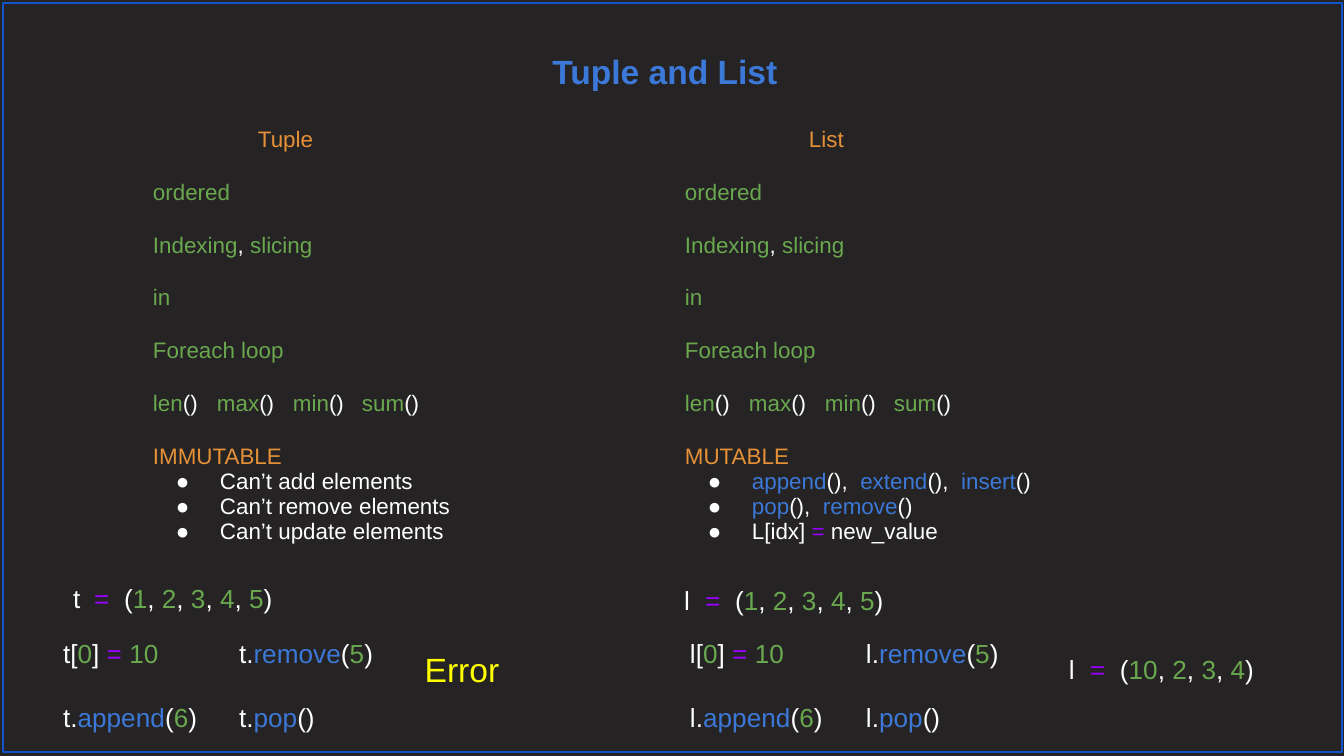
from lxml.etree import SubElement
from pptx import Presentation
from pptx.dml.color import RGBColor
from pptx.enum.shapes import MSO_SHAPE
from pptx.enum.text import PP_ALIGN
from pptx.oxml.ns import qn
from pptx.util import Pt

SCALE = 914400 / 134.4
INSET = 13
COLOURS = {"w": "FFFFFF", "g": "6AA84F", "b": "3C78D8", "o": "E69138", "p": "9900FF", "y": "FFFF00"}
MARGINS = ("margin_left", "margin_top", "margin_right", "margin_bottom")
NO_GRID = "{2D5ABB26-0587-4C30-8999-92F81FD0307C}"

SHARED_ROWS = [
    ("gordered", ()),
    ("gIndexing|w,|g slicing", ()),
    ("gin", ()),
    ("gForeach loop", ()),
    ("glen|w()\t|gmax|w()\t|gmin|w()\t|gsum|w()", (64, 140, 209)),
]
COLUMNS = [
    ("oTuple", 105, "oIMMUTABLE",
     ["wCan’t add elements", "wCan’t remove elements", "wCan’t update elements"]),
    ("oList", 124, "oMUTABLE",
     ["bappend|w(),  |bextend|w(),  |binsert|w()", "bpop|w(),  |bremove|w()", "wL[idx] |p=|w new_value"]),
]


def px(length):
    return round(length * SCALE)


def colour(hex_code):
    return RGBColor.from_string(hex_code)


def apply(target, values):
    for name, value in values.items():
        setattr(target, name, value)


def write(paragraph, markup, size, tabs=(), indent=0, bold=None):
    for part in markup.split("|"):
        run = paragraph.add_run()
        run.text = part[1:]
        apply(run.font, {"name": "Arial", "size": Pt(size), "bold": bold})
        run.font.color.rgb = colour(COLOURS[part[0]])
    properties = paragraph._p.get_or_add_pPr()
    if indent:
        properties.set("marL", str(px(indent)))
    if tabs:
        stops = SubElement(properties, qn("a:tabLst"))
        for stop in tabs:
            SubElement(stops, qn("a:tab"), pos=str(px(stop)), algn="l")


def add_bullet(paragraph):
    properties = paragraph._p.get_or_add_pPr()
    properties.set("indent", str(px(-44)))
    tint = SubElement(properties, qn("a:buClr"))
    SubElement(tint, qn("a:srgbClr"), val=COLOURS["w"])
    SubElement(properties, qn("a:buFont"), typeface="Arial")
    SubElement(properties, qn("a:buChar"), char="●")


def text_box(slide, box, lines, size, tabs=(), align=PP_ALIGN.LEFT, gap=0, bold=None):
    frame = slide.shapes.add_textbox(*map(px, box)).text_frame
    apply(frame, {"word_wrap": True, **dict.fromkeys(MARGINS, px(INSET))})
    for index, line in enumerate(lines):
        paragraph = frame.add_paragraph() if index else frame.paragraphs[0]
        paragraph.alignment = align
        if index:
            paragraph.space_before = Pt(gap)
        write(paragraph, line, size, tabs, bold=bold)


def comparison(slide, box):
    row_count = len(SHARED_ROWS) + 2
    table = slide.shapes.add_table(row_count, len(COLUMNS), *map(px, box)).table
    apply(table, {"first_row": False, "horz_banding": False})
    table._tbl.tblPr.find(qn("a:tableStyleId")).text = NO_GRID
    for row in table.rows:
        row.height = px(52)
    table.rows[row_count - 1].height = px(126)
    for cell in table.iter_cells():
        cell.fill.background()
        apply(cell, dict.fromkeys(MARGINS, px(INSET)))
    for index, (heading, heading_indent, trait, details) in enumerate(COLUMNS):
        cells = [table.cell(row, index) for row in range(row_count)]
        write(cells[0].text_frame.paragraphs[0], heading, 12, indent=heading_indent)
        for cell, (feature, tabs) in zip(cells[1:], SHARED_ROWS):
            write(cell.text_frame.paragraphs[0], feature, 12, tabs)
        summary = cells[-1].text_frame
        write(summary.paragraphs[0], trait, 12)
        for detail in details:
            paragraph = summary.add_paragraph()
            add_bullet(paragraph)
            write(paragraph, detail, 12, indent=67)


def assignment(slide, box, name, numbers):
    values = "|w, |".join(f"g{number}" for number in numbers)
    text_box(slide, box, [f"w{name}\t|p=\t|w(|{values}|w)"], 14, (21, 51))


def examples(slide, box, name, assignment_offset):
    left, top, width, height = box
    dx, dy = assignment_offset
    assignment(slide, (left + dx, top + dy, 235, 59), name, range(1, 6))
    operations = [
        f"w{name}[|g0|w] |p= |g10\t|w{name}.|bremove|w(|g5|w)",
        f"w{name}.|bappend|w(|g6|w)\t{name}.|bpop|w()",
    ]
    text_box(slide, (left, top + 55, width, height - 55), operations, 14, (176,), gap=17.7)


def border(slide, box):
    outline = slide.shapes.add_shape(MSO_SHAPE.RECTANGLE, *map(px, box))
    outline.shadow.inherit = False
    outline.fill.background()
    outline.line.color.rgb = colour("1155CC")
    outline.line.width = Pt(0.75)


def main():
    deck = Presentation()
    apply(deck, {"slide_width": px(1344), "slide_height": px(756)})
    slide = deck.slides.add_slide(deck.slide_layouts[6])
    slide.background.fill.solid()
    slide.background.fill.fore_color.rgb = colour("252323")
    text_box(slide, (-7, 38, 1344, 85), ["bTuple and List"], 18, align=PP_ALIGN.CENTER, bold=True)
    comparison(slide, (140, 114, 1064, 438))
    examples(slide, (50, 569, 355, 175), "t", (10, 0))
    text_box(slide, (388, 636, 148, 67), ["yError"], 18, align=PP_ALIGN.CENTER)
    examples(slide, (677, 569, 355, 175), "l", (-6, 2))
    assignment(slide, (1056, 640, 300, 59), "l", (10, 2, 3, 4))
    border(slide, (3, 3, 1339, 749))
    deck.save("out.pptx")


if __name__ == "__main__":
    main()
